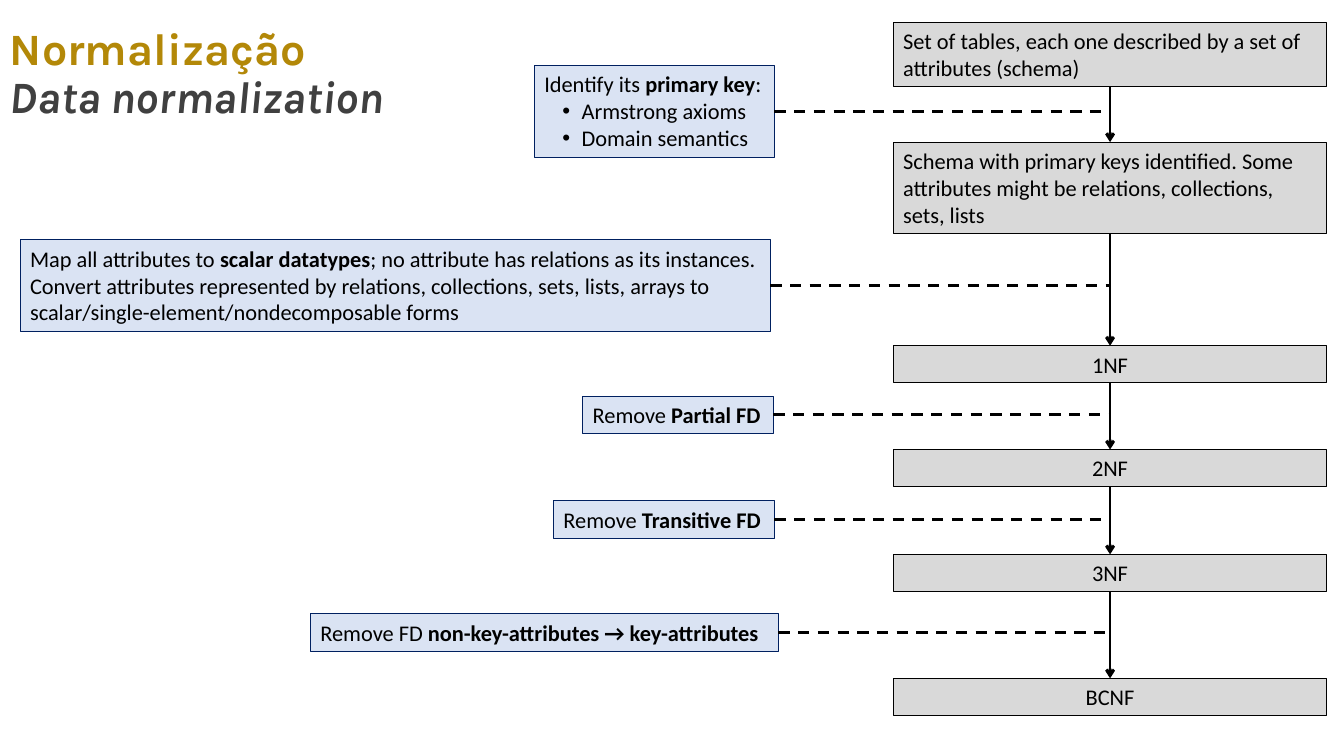
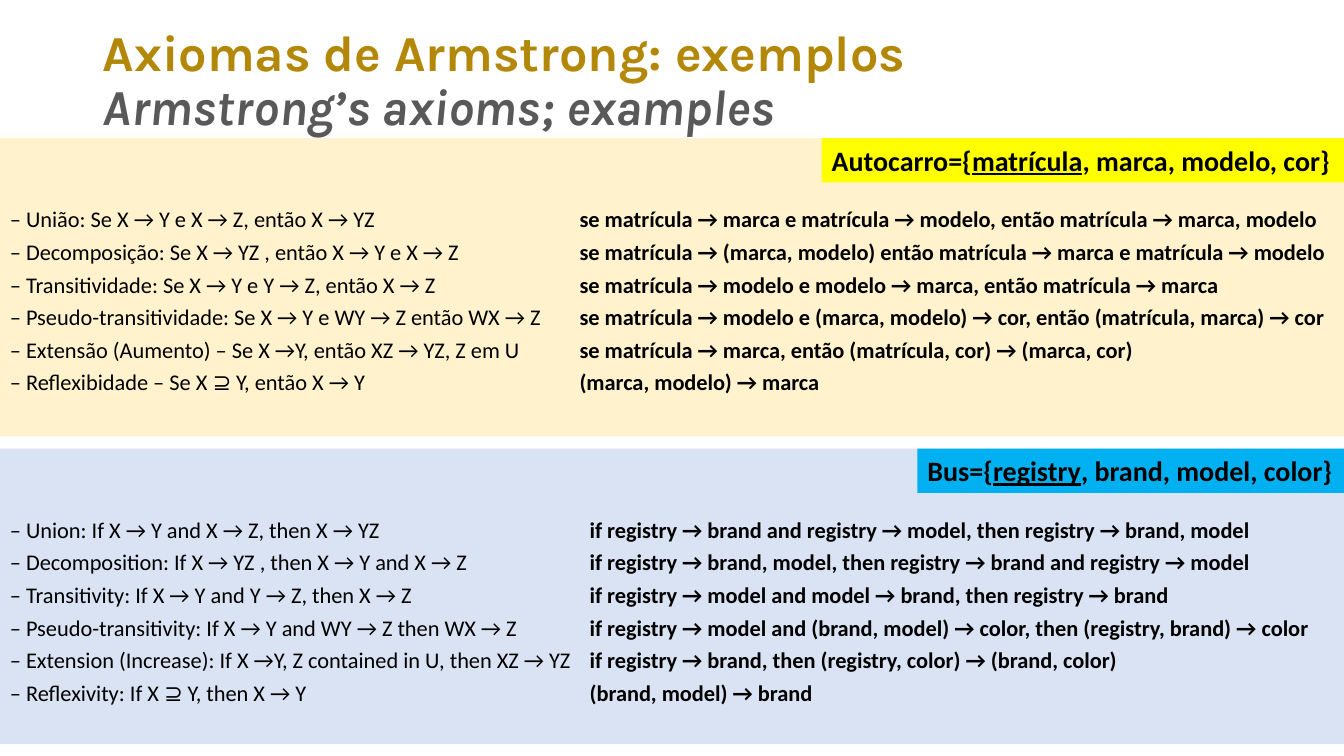
from dataclasses import dataclass
from itertools import pairwise

from lxml.etree import SubElement
from pptx import Presentation
from pptx.dml.color import RGBColor
from pptx.enum.dml import MSO_LINE
from pptx.enum.shapes import MSO_CONNECTOR, MSO_SHAPE
from pptx.enum.text import MSO_ANCHOR, PP_ALIGN
from pptx.oxml.ns import qn
from pptx.util import Inches, Pt

BLACK = RGBColor(0x00, 0x00, 0x00)
GOLD = RGBColor(0xB3, 0x88, 0x08)
DARK_GREY = RGBColor(0x40, 0x40, 0x40)
MID_GREY = RGBColor(0x59, 0x59, 0x59)
LIGHT_GREY = RGBColor(0xD9, 0xD9, 0xD9)
PALE_BLUE = RGBColor(0xDA, 0xE3, 0xF3)
NAVY = RGBColor(0x00, 0x20, 0x60)
CREAM = RGBColor(0xFF, 0xF2, 0xCC)
YELLOW = RGBColor(0xFF, 0xFF, 0x00)
SKY = RGBColor(0x00, 0xB0, 0xF0)

TITLE_FONT = "Karla"
BODY_FONT = "Calibri"
SLIDE_WIDTH = 13.33
STATE_LEFT, STATE_WIDTH = 8.86, 4.3


@dataclass(frozen=True)
class State:
    """A stage of the schema, in the right-hand chain."""
    text: str
    top: float
    height: float = 0.37
    centred: bool = True


@dataclass(frozen=True)
class Step:
    """What is done between two stages; *starred* text is bold."""
    lines: tuple[str, ...]
    left: float
    top: float
    width: float
    height: float = 0.37
    wrap: bool = False
    bullets_from: int = 9


@dataclass(frozen=True)
class AxiomBand:
    """One language's axioms, each with its example, and the relation used."""
    top: float
    height: float
    fill: RGBColor
    example_tab: float
    relation: str
    relation_left: float
    relation_fill: RGBColor
    axioms: tuple[tuple[str, str], ...]


STATES = (
    State("Set of tables, each one described by a set of attributes (schema)",
          0.22, 0.64, False),
    State("Schema with primary keys identified. Some attributes might be "
          "relations, collections, sets, lists", 1.41, 0.91, False),
    State("1NF", 3.43),
    State("2NF", 4.46),
    State("3NF", 5.5),
    State("BCNF", 6.73),
)

STEPS = (
    Step(("Identify its *primary key*:", "Armstrong axioms", "Domain semantics"),
         5.3, 0.65, 2.38, 0.91, bullets_from=1),
    Step(("Map all attributes to *scalar datatypes*; no attribute has relations "
          "as its instances.",
          "Convert attributes represented by relations, collections, sets, lists, "
          "arrays to scalar/single-element/nondecomposable forms"),
         0.2, 2.38, 7.44, 0.91, wrap=True),
    Step(("Remove *Partial FD*",), 5.78, 3.93, 1.89),
    Step(("Remove *Transitive FD*",), 5.49, 4.97, 2.19),
    Step(("Remove FD *non-key-attributes → key-attributes*",), 3.08, 6.09, 4.64),
)

BANDS = (
    AxiomBand(
        1.37, 2.96, CREAM, 5.65,
        "Autocarro={*matrícula*, marca, modelo, cor}", 8.15, YELLOW,
        (("União: Se X → Y e X → Z, então X → YZ",
          "se matrícula → marca e matrícula → modelo, então matrícula → marca, modelo"),
         ("Decomposição: Se X → YZ , então X → Y e X → Z",
          "se matrícula → (marca, modelo) então matrícula → marca e matrícula → modelo"),
         ("Transitividade: Se X → Y e Y → Z, então X → Z",
          "se matrícula → modelo e modelo → marca, então matrícula → marca"),
         ("Pseudo-transitividade: Se X → Y e WY → Z então WX → Z",
          "se matrícula → modelo e (marca, modelo) → cor, então (matrícula, marca) → cor"),
         ("Extensão (Aumento) – Se X →Y, então XZ → YZ, Z em U",
          "se matrícula → marca, então (matrícula, cor) → (marca, cor)"),
         ("Reflexibidade – Se X ⊇ Y, então X → Y", "(marca, modelo) → marca"))),
    AxiomBand(
        4.45, 2.93, PALE_BLUE, 5.75,
        "Bus={*registry*, brand, model, color}", 9.1, SKY,
        (("Union: If X → Y and X → Z, then X → YZ",
          "if registry → brand and registry → model, then registry → brand, model"),
         ("Decomposition: If X → YZ , then X → Y and X → Z",
          "if registry → brand, model, then registry → brand and registry → model"),
         ("Transitivity: If X → Y and Y → Z, then X → Z",
          "if registry → model and model → brand, then registry → brand"),
         ("Pseudo-transitivity: If X → Y and WY → Z then WX → Z",
          "if registry → model and (brand, model) → color, then (registry, brand) → color"),
         ("Extension (Increase): If X →Y, Z contained in U, then XZ → YZ",
          "if registry → brand, then (registry, color) → (brand, color)"),
         ("Reflexivity: If X ⊇ Y, then X → Y", "(brand, model) → brand"))),
)


def style(run, size: float, color: RGBColor = BLACK, font: str = BODY_FONT,
          bold: bool = False) -> None:
    run.font.size, run.font.name, run.font.bold = Pt(size), font, bold
    run.font.color.rgb = color


def add_marked_runs(paragraph, text: str, size: float, bold: bool = False):
    """Add text as runs and return those that stood between stars."""
    marked = []
    for index, part in enumerate(text.split("*")):
        if part:
            run = paragraph.add_run()
            run.text = part
            style(run, size, bold=bold)
            if index % 2:
                marked.append(run)
    return marked


def add_box(slide, left: float, top: float, width: float, height: float,
            fill: RGBColor, border: RGBColor | None = None, wrap: bool = True):
    box = slide.shapes.add_shape(MSO_SHAPE.RECTANGLE, Inches(left), Inches(top),
                                 Inches(width), Inches(height))
    box.shadow.inherit = False
    box.fill.solid()
    box.fill.fore_color.rgb = fill
    if border is None:
        box.line.fill.background()
    else:
        box.line.color.rgb = border
        box.line.width = Pt(0.75)
    frame = box.text_frame
    frame.word_wrap = wrap
    frame.vertical_anchor = MSO_ANCHOR.TOP
    frame.paragraphs[0].alignment = PP_ALIGN.LEFT
    return box


def add_title(slide, lines: tuple[str, str], left: float, top: float,
              width: float, size: float, subtitle_color: RGBColor) -> None:
    title = slide.shapes.add_textbox(Inches(left), Inches(top),
                                     Inches(width), Inches(1.45))
    frame = title.text_frame
    frame.word_wrap = True
    frame.vertical_anchor = MSO_ANCHOR.MIDDLE
    paragraph = frame.paragraphs[0]
    paragraph.text = "\v".join(lines)
    paragraph.line_spacing = 0.9
    for run, color in zip(paragraph.runs, (GOLD, subtitle_color)):
        style(run, size, color, TITLE_FONT, bold=True)
    paragraph.runs[1].font.italic = True


def add_line(slide, start: tuple[int, int], end: tuple[int, int]):
    connector = slide.shapes.add_connector(MSO_CONNECTOR.STRAIGHT, *start, *end)
    connector.line.color.rgb = BLACK
    connector.line.width = Pt(2)
    SubElement(connector._element.spPr, qn("a:effectLst"))
    return connector


def add_bullet(paragraph) -> None:
    properties = paragraph._p.get_or_add_pPr()
    properties.set("marL", str(Inches(0.37)))
    properties.set("indent", str(Inches(-0.19)))
    SubElement(properties, qn("a:buFont"), typeface="Arial")
    SubElement(properties, qn("a:buChar"), char="•")


def add_tab_stop(paragraph, position: float) -> None:
    tabs = SubElement(paragraph._p.get_or_add_pPr(), qn("a:tabLst"))
    SubElement(tabs, qn("a:tab"), pos=str(Inches(position)), algn="l")


def add_state(slide, state: State):
    box = add_box(slide, STATE_LEFT, state.top, STATE_WIDTH, state.height,
                  LIGHT_GREY, BLACK)
    paragraph = box.text_frame.paragraphs[0]
    paragraph.text = state.text
    paragraph.alignment = PP_ALIGN.CENTER if state.centred else PP_ALIGN.LEFT
    style(paragraph.runs[0], 16)
    return box


def add_step(slide, step: Step):
    box = add_box(slide, step.left, step.top, step.width, step.height,
                  PALE_BLUE, NAVY, step.wrap)
    frame = box.text_frame
    for index, line in enumerate(step.lines):
        paragraph = frame.add_paragraph() if index else frame.paragraphs[0]
        paragraph.alignment = PP_ALIGN.LEFT
        if index >= step.bullets_from:
            add_bullet(paragraph)
        for run in add_marked_runs(paragraph, line, 16):
            run.font.bold = True
    return box


def add_axioms(slide, band: AxiomBand) -> None:
    frame = add_box(slide, 0, band.top, SLIDE_WIDTH, band.height,
                    band.fill).text_frame
    frame.margin_top = Inches(0.7)
    for index, (axiom, example) in enumerate(band.axioms):
        paragraph = frame.add_paragraph() if index else frame.paragraphs[0]
        paragraph.alignment = PP_ALIGN.LEFT
        paragraph.line_spacing = 0.9
        paragraph.space_after = Pt(6)
        add_tab_stop(paragraph, band.example_tab)
        for run in add_marked_runs(paragraph, f"– {axiom}\t*{example}*", 16):
            run.font.bold = True


def add_relation(slide, band: AxiomBand) -> None:
    label = add_box(slide, band.relation_left, band.top,
                    SLIDE_WIDTH - band.relation_left, 0.44,
                    band.relation_fill, wrap=False)
    paragraph = label.text_frame.paragraphs[0]
    for key in add_marked_runs(paragraph, band.relation, 20, bold=True):
        key.font.underline = True


def build_normalization(slide) -> None:
    add_title(slide, ("Normalização", "Data normalization"),
              0, 0.02, 4.93, 32, DARK_GREY)
    states = [add_state(slide, state) for state in STATES]
    steps = [add_step(slide, step) for step in STEPS]
    chain_x = Inches(STATE_LEFT + STATE_WIDTH / 2)
    for upper, lower in pairwise(states):
        arrow = add_line(slide, (chain_x, upper.top + upper.height),
                         (chain_x, lower.top))
        SubElement(arrow.line._get_or_add_ln(), qn("a:tailEnd"), type="arrow")
    for step in steps:
        middle = step.top + step.height // 2
        link = add_line(slide, (step.left + step.width, middle), (chain_x, middle))
        link.line.dash_style = MSO_LINE.DASH


def build_axioms(slide) -> None:
    for band in BANDS:
        add_axioms(slide, band)
    add_title(slide, ("Axiomas de Armstrong: exemplos", "Armstrong’s axioms; examples"),
              0.92, 0.09, 11.5, 36, MID_GREY)
    for band in BANDS:
        add_relation(slide, band)


def main() -> None:
    presentation = Presentation()
    presentation.slide_width = Inches(SLIDE_WIDTH)
    presentation.slide_height = Inches(7.5)
    for build in (build_normalization, build_axioms):
        build(presentation.slides.add_slide(presentation.slide_layouts[6]))
    presentation.save("out.pptx")


if __name__ == "__main__":
    main()
